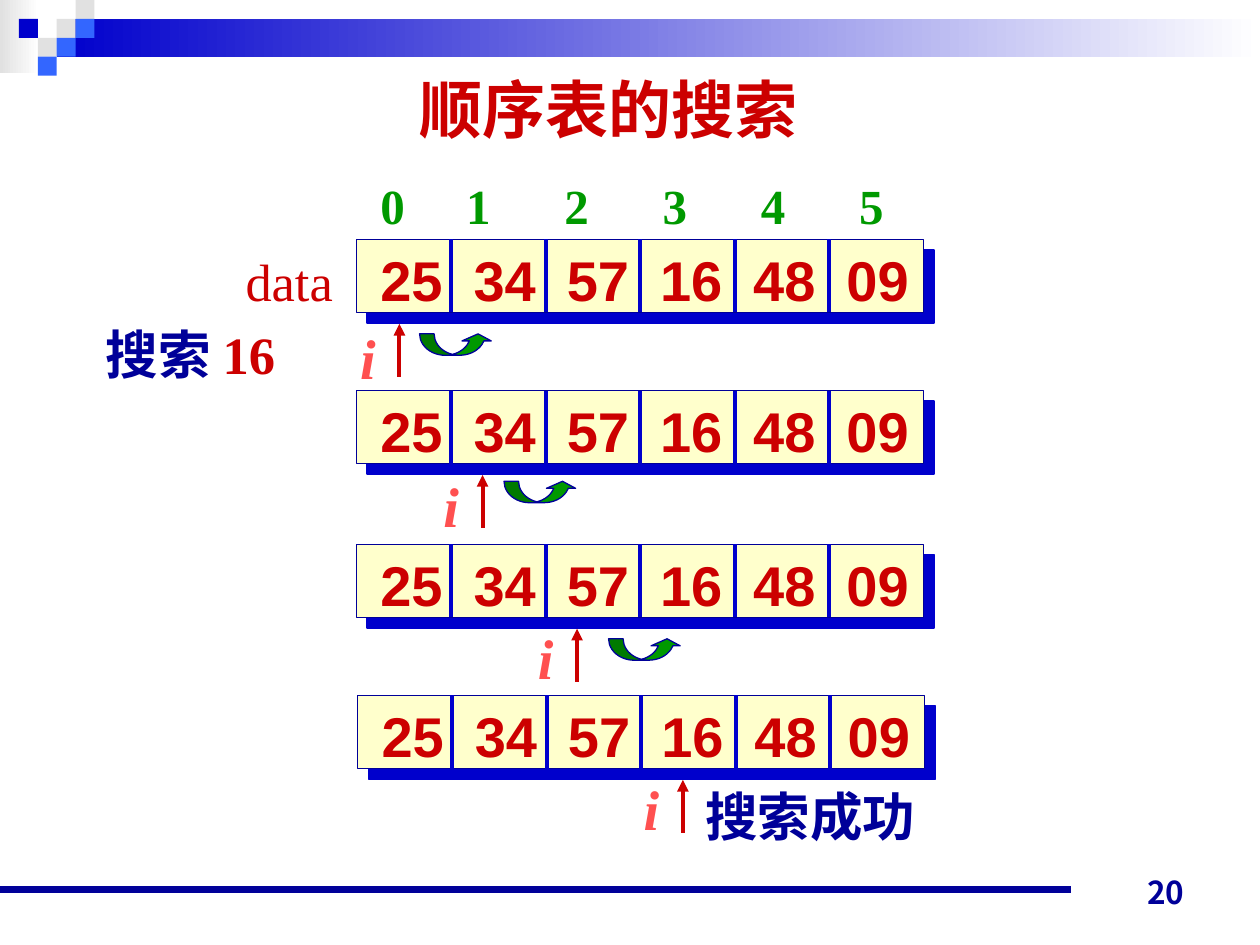
from lxml import etree
from pptx import Presentation
from pptx.dml.color import RGBColor
from pptx.enum.shapes import MSO_CONNECTOR, MSO_SHAPE
from pptx.enum.text import MSO_ANCHOR, MSO_AUTO_SIZE, PP_ALIGN
from pptx.oxml.ns import qn
from pptx.util import Inches, Pt

RECTANGLE, CURVED_ARROW = MSO_SHAPE.RECTANGLE, MSO_SHAPE.CURVED_UP_ARROW
STRAIGHT = MSO_CONNECTOR.STRAIGHT
TOP, MIDDLE, BOTTOM = MSO_ANCHOR.TOP, MSO_ANCHOR.MIDDLE, MSO_ANCHOR.BOTTOM
LEFT, CENTER, RIGHT = PP_ALIGN.LEFT, PP_ALIGN.CENTER, PP_ALIGN.RIGHT
NO_AUTOFIT = MSO_AUTO_SIZE.NONE

NAVY = RGBColor(0x00, 0x00, 0x99)
BLUE = RGBColor(0x00, 0x00, 0xCC)
SKY = RGBColor(0x33, 0x66, 0xFF)
GRAY = RGBColor(0xE1, 0xE1, 0xE1)
WHITE = RGBColor(0xFF, 0xFF, 0xFF)
CREAM = RGBColor(0xFF, 0xFF, 0xCC)
RED = RGBColor(0xCC, 0x00, 0x00)
CORAL = RGBColor(0xFF, 0x50, 0x50)
GREEN = RGBColor(0x00, 0x99, 0x00)

SANS, SERIF, CJK = "Arial", "Times New Roman", "Noto Sans CJK JP"
WIDTH, HEIGHT = 10, 7.5
VALUES = ["25", "34", "57", "16", "48", "09"]

INDEX_FORMAT = {"size": Pt(28), "name": SERIF, "bold": True}
VALUE_FORMAT = {"size": Pt(32), "name": SANS, "bold": True}
POINTER_FORMAT = {"size": Pt(32), "name": SERIF, "bold": True, "italic": True}
LABEL_FORMAT = {"size": Pt(30), "name": SERIF, "bold": False}
NOTE_FORMAT = {"size": Pt(30), "name": SERIF, "bold": True}
TITLE_FORMAT = {"size": Pt(36), "name": SANS, "bold": True}
NUMBER_FORMAT = {"size": Pt(18), "name": CJK, "bold": True}


def inches(box):
    return [Inches(length) for length in box]


def write(shape, runs, font_format, align=LEFT, anchor=TOP, wrap=False, tabs=()):
    """Fill a shape with one paragraph of (text, colour) runs."""
    frame = shape.text_frame
    frame.auto_size, frame.word_wrap, frame.vertical_anchor = NO_AUTOFIT, wrap, anchor
    paragraph = frame.paragraphs[0]
    paragraph.alignment = align
    if tabs:
        tab_list = etree.SubElement(paragraph._p.get_or_add_pPr(), qn("a:tabLst"))
        for position in tabs:
            etree.SubElement(tab_list, qn("a:tab"), pos=str(Inches(position)), algn="l")
    for text, color in runs:
        run = paragraph.add_run()
        run.text = text
        for name, value in font_format.items():
            setattr(run.font, name, value)
        run.font.color.rgb = color
        etree.SubElement(run._r.get_or_add_rPr(), qn("a:ea"), typeface=CJK)


def add_text(slide, box, runs, font_format, **options):
    write(slide.shapes.add_textbox(*inches(box)), runs, font_format, **options)


def add_block(slide, kind, box, fill, line=None):
    """Add a shape; the fill is one colour or a list of two gradient colours."""
    shape = slide.shapes.add_shape(kind, *inches(box))
    shape.shadow.inherit = False
    if isinstance(fill, RGBColor):
        shape.fill.solid()
        shape.fill.fore_color.rgb = fill
    else:
        shape.fill.gradient()
        shape.fill.gradient_angle = 0
        for stop, color, position in zip(shape.fill.gradient_stops, fill, (0, 1)):
            stop.color.rgb, stop.position = color, position
    if line is None:
        shape.line.fill.background()
    else:
        shape.line.color.rgb, shape.line.width = line, Pt(0.75)
    return shape


def add_line(slide, start, end, color, width, arrow=False):
    connector = slide.shapes.add_connector(STRAIGHT, *inches(start + end))
    connector.line.color.rgb, connector.line.width = color, Pt(width)
    if arrow:
        line_xml = connector._element.spPr.find(qn("a:ln"))
        etree.SubElement(line_xml, qn("a:tailEnd"), type="triangle")
    etree.SubElement(connector._element.spPr, qn("a:effectLst"))


def add_hard_shadow(shape, color):
    effects = shape._element.spPr.find(qn("a:effectLst"))
    shadow = etree.SubElement(effects, qn("a:outerShdw"), dist=str(Pt(8.5)),
                              dir="2700000", algn="ctr", rotWithShape="0")
    etree.SubElement(shadow, qn("a:srgbClr"), val=str(color))


def draw_header(slide, box):
    """Gradient band with a checkered corner on a grid of small squares."""
    left, top, width, height = box
    unit = height / 4
    add_block(slide, RECTANGLE, (left, top, 0.31, 0.58), [GRAY, WHITE])
    add_block(slide, RECTANGLE, (left + 3 * unit, top + unit, width - 3 * unit, 2 * unit),
              [BLUE, WHITE])
    squares = [(3, 1, GRAY), (4, 0, GRAY), (4, 1, SKY), (2, 2, GRAY),
               (1, 1, BLUE), (3, 2, SKY), (2, 3, SKY)]
    for column, row, color in squares:
        add_block(slide, RECTANGLE,
                  (left + column * unit, top + row * unit, unit, unit), color)


def draw_footer(slide, box):
    """Rule and page number."""
    left, top, width, height = box
    rule_y = top + 0.28
    add_line(slide, (left, rule_y), (left + 0.85 * width, rule_y), NAVY, 4.5)
    add_text(slide, (left + 0.72 * width, top, 0.23 * width, height), [("20", NAVY)],
             NUMBER_FORMAT, align=RIGHT, anchor=BOTTOM, wrap=True)


def draw_array(slide, box):
    """One row of cells with its values."""
    left, top, width, height = box
    count = len(VALUES)
    cell = width / count
    add_hard_shadow(add_block(slide, RECTANGLE, box, CREAM, NAVY), BLUE)
    add_text(slide, (left + 0.09, top, width, 0.64), [("\t".join(VALUES), RED)],
             VALUE_FORMAT, wrap=True, tabs=[0.74 * k for k in range(1, count)])
    for k in range(1, count):
        x = left + k * cell
        add_line(slide, (x, top), (x, top + height), BLUE, 2.25)


def draw_pointer(slide, x, row_top, label_drop, bend):
    """Index arrow under a row, with the curved step to the next cell."""
    add_line(slide, (x, row_top + 1.09), (x, row_top + 0.67), RED, 2.25, arrow=True)
    add_text(slide, (x - 0.41, row_top + label_drop, 0.32, 0.64), [("i", CORAL)],
             POINTER_FORMAT)
    if bend:
        dx, dy = bend
        arrow = add_block(slide, CURVED_ARROW, (x + dx, row_top + dy, 0.58, 0.17),
                          GREEN, NAVY)
        for k, share in enumerate((0.68, 1.36, 0.33)):
            arrow.adjustments[k] = share


def draw_search(slide, box):
    """Four stages of the search, from the first cell to the match."""
    left, top, width, height = box
    # (row left, row top, pointer x, label drop, curved arrow offset)
    stages = [(0, 0, 0.34, 0.62, (0.16, 0.75)),
              (0, 1.2, 1, 0.59, (0.17, 0.72)),
              (0, 2.42, 1.75, 0.58, (0.25, 0.75)),
              (0.01, 3.62, 2.59, 0.58, None)]
    for dx, dy, pointer, label_drop, bend in stages:
        draw_array(slide, (left + dx, top + dy, width, height))
        draw_pointer(slide, left + pointer, top + dy, label_drop, bend)

    # Labels around the rows
    indexes = "\t".join(str(k) for k in range(len(VALUES)))
    add_text(slide, (left + 0.09, top - 0.56, 4.28, 0.57), [(indexes, GREEN)],
             INDEX_FORMAT, wrap=True, tabs=[0.68 + 0.78 * k for k in range(len(VALUES) - 1)])
    add_text(slide, (left - 0.98, top + 0.03, 0.89, 0.6), [("data", RED)], LABEL_FORMAT)
    add_text(slide, (left - 2.09, top + 0.61, 1.76, 0.6),
             [("搜索 ", NAVY), ("16", RED)], NOTE_FORMAT)
    add_text(slide, (left + 2.67, top + 4.27, 1.86, 0.6), [("搜索成功", NAVY)], NOTE_FORMAT)


def draw_title(slide, box):
    title = slide.shapes.title
    title.left, title.top, title.width, title.height = inches(box)
    write(title, [("顺序表的搜索", RED)], TITLE_FORMAT, align=CENTER, anchor=MIDDLE, wrap=True)


def main():
    presentation = Presentation()
    presentation.slide_width, presentation.slide_height = Inches(WIDTH), Inches(HEIGHT)
    slide = presentation.slides.add_slide(presentation.slide_layouts[5])
    draw_header(slide, (0, 0, WIDTH, 0.08 * HEIGHT))
    draw_footer(slide, (0, 6.78, WIDTH, 0.5))
    draw_search(slide, (2.83, 1.9, 0.45 * WIDTH, 0.58))
    draw_title(slide, (0.33, 0.36, 0.9 * WIDTH, 1))
    presentation.save("out.pptx")


if __name__ == "__main__":
    main()
